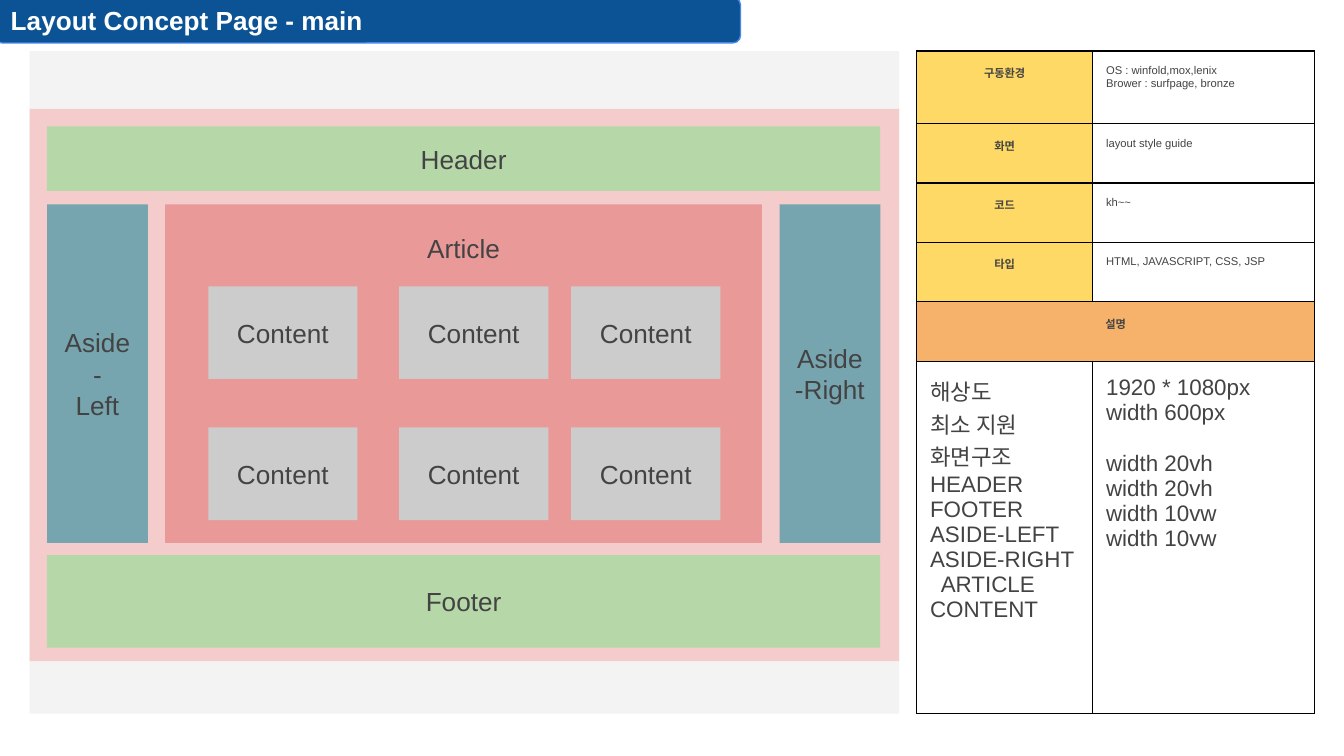
from pptx import Presentation
from pptx.dml.color import RGBColor
from pptx.enum.shapes import MSO_SHAPE
from pptx.enum.text import MSO_ANCHOR, MSO_AUTO_SIZE, PP_ALIGN
from pptx.oxml import parse_xml
from pptx.oxml.ns import nsdecls
from pptx.util import Inches, Pt

RECT, ROUND_RECT = MSO_SHAPE.RECTANGLE, MSO_SHAPE.ROUNDED_RECTANGLE
TOP, MIDDLE = MSO_ANCHOR.TOP, MSO_ANCHOR.MIDDLE
LEFT, CENTER = PP_ALIGN.LEFT, PP_ALIGN.CENTER

WHITE = RGBColor(0xFF, 0xFF, 0xFF)
DARK = RGBColor(0x43, 0x43, 0x43)
NAVY = RGBColor(0x0B, 0x53, 0x94)
BLUE = RGBColor(0x4A, 0x86, 0xE8)
PALE = RGBColor(0xF3, 0xF3, 0xF3)
GREY = RGBColor(0xCC, 0xCC, 0xCC)
PINK = RGBColor(0xF4, 0xCC, 0xCC)
RED = RGBColor(0xEA, 0x99, 0x99)
GREEN = RGBColor(0xB6, 0xD7, 0xA8)
TEAL = RGBColor(0x76, 0xA5, 0xAF)
YELLOW = RGBColor(0xFF, 0xD9, 0x66)
ORANGE = RGBColor(0xF6, 0xB2, 0x6B)

TITLE = "Layout Concept Page - main"
FACTS = [
    ("구동환경", ["OS : winfold,mox,lenix", "Brower : surfpage, bronze"]),
    ("화면", ["layout style guide"]),
    ("코드", ["kh~~"]),
    ("타입", ["HTML, JAVASCRIPT, CSS, JSP"]),
]
NOTES_HEADING = "설명"
NOTE_NAMES = ["해상도", "최소 지원", "화면구조", "HEADER", "FOOTER",
              "ASIDE-LEFT", "ASIDE-RIGHT", "ARTICLE", "CONTENT"]
NOTE_VALUES = ["1920 * 1080px", "width 600px", "width 20vh", "width 20vh",
               "width 10vw", "width 10vw"]

# Page frame and the blocks inside it, in inches
SLIDE_W = 10
SLIDE_H = SLIDE_W * 9 / 16
TITLE_BOX = (-0.04, -0.02, 5.55, 0.34)
TITLE_INSET = 0.12
PAGE_X, PAGE_Y, PAGE_W, PAGE_H = 0.22, 0.38, 6.47, 4.93
INNER_X, INNER_W = 0.35, 6.2
ASIDE_W, GAP = 0.75, 0.13
MID_Y, MID_H = 1.52, 2.52
ARTICLE_X = INNER_X + ASIDE_W + GAP
ARTICLE_W = INNER_W - 2 * (ASIDE_W + GAP)
BLOCKS = [
    ([], PINK, (PAGE_X, 0.81, PAGE_W, 4.11)),
    (["Footer"], GREEN, (INNER_X, 4.13, INNER_W, 0.69)),
    (["Header"], GREEN, (INNER_X, 0.94, INNER_W, 0.48)),
    (["Aside", "-", "Left"], TEAL, (INNER_X, MID_Y, ASIDE_W, MID_H)),
    (["Aside", "-Right"], TEAL,
     (INNER_X + INNER_W - ASIDE_W, MID_Y, ASIDE_W, MID_H)),
    (["Article"], RED, (ARTICLE_X, MID_Y, ARTICLE_W, MID_H)),
]
CONTENT_XS, CONTENT_YS = (1.55, 2.97, 4.25), (2.13, 3.18)
CONTENT_W, CONTENT_H = 1.11, 0.69
BLOCKS += [(["Content"], GREY, (x, y, CONTENT_W, CONTENT_H))
           for y in CONTENT_YS for x in CONTENT_XS]

TABLE_X = 6.82
COL_WIDTHS = [0.65, 0.66, 1.65]
FIRST_ROW, LAST_ROW = 0.54, 2.62
ROW_HEIGHTS = [FIRST_ROW, *[(PAGE_H - FIRST_ROW - LAST_ROW) / 4] * 4, LAST_ROW]


def write(tf, lines, size, align=LEFT, bold=False, color=DARK):
    for i, line in enumerate(lines):
        p = tf.paragraphs[0] if i == 0 else tf.add_paragraph()
        p.alignment = align
        r = p.add_run()
        r.text = line
        r.font.name, r.font.size, r.font.bold = "Arial", Pt(size), bold
        r.font.color.rgb = color


def set_margins(tf, inset=0.1):
    tf.margin_left = tf.margin_right = Inches(inset)
    tf.margin_top = tf.margin_bottom = Inches(0.1)
    tf.word_wrap = True


def add_block(shapes, lines, color, box, kind=RECT):
    sp = shapes.add_shape(kind, *map(Inches, box))
    sp.shadow.inherit = False
    sp.fill.solid()
    sp.fill.fore_color.rgb = color
    sp.line.fill.background()
    tf = sp.text_frame
    set_margins(tf)
    tf.vertical_anchor = MIDDLE
    write(tf, lines, 14, CENTER)
    return sp


def add_title(s):
    """Lay the title placeholder over a rounded bar."""
    title = s.shapes.title
    bar = add_block(s.shapes, [], NAVY, TITLE_BOX, ROUND_RECT)
    bar.line.color.rgb = BLUE
    bar.line.width = Pt(0.75)
    title._element.addprevious(bar._element)
    title.left, title.top, title.width, title.height = map(Inches, TITLE_BOX)
    tf = title.text_frame
    set_margins(tf, TITLE_INSET)
    tf.auto_size = MSO_AUTO_SIZE.NONE
    tf.vertical_anchor = MIDDLE
    write(tf, [TITLE], 14, bold=True, color=WHITE)


def add_borders(cell):
    tcPr = cell._tc.get_or_add_tcPr()
    for side in ("lnL", "lnR", "lnT", "lnB"):
        tcPr.append(parse_xml(
            f'<a:{side} {nsdecls("a")} w="{Pt(0.75)}"><a:solidFill>'
            f'<a:srgbClr val="000000"/></a:solidFill></a:{side}>'))


def fill_cell(cell, lines, size=6, color=None, inset=0.1):
    """A coloured cell is a heading: bold and centred."""
    cell.margin_left = cell.margin_right = Inches(inset)
    cell.margin_top = cell.margin_bottom = Inches(0.1)
    heading = color is not None
    if heading:
        cell.fill.solid()
        cell.fill.fore_color.rgb = color
    write(cell.text_frame, lines, size, CENTER if heading else LEFT, heading)


def add_spec_table(s):
    table = s.shapes.add_table(
        len(ROW_HEIGHTS), len(COL_WIDTHS), Inches(TABLE_X), Inches(PAGE_Y),
        Inches(sum(COL_WIDTHS)), Inches(sum(ROW_HEIGHTS))).table
    table.first_row = table.horz_banding = False
    for col, width in zip(table.columns, COL_WIDTHS):
        col.width = Inches(width)
    for row, height in zip(table.rows, ROW_HEIGHTS):
        row.height = Inches(height)
    for cell in table.iter_cells():
        add_borders(cell)
        cell.fill.background()

    heading_row, notes_row = len(FACTS), len(FACTS) + 1
    for i in range(len(ROW_HEIGHTS)):
        last = 2 if i == heading_row else 1
        table.cell(i, 0).merge(table.cell(i, last))
    for i, (name, values) in enumerate(FACTS):
        fill_cell(table.cell(i, 0), [name], color=YELLOW, inset=0.04)
        fill_cell(table.cell(i, 2), values)
    fill_cell(table.cell(heading_row, 0), [NOTES_HEADING], color=ORANGE)

    names, values = table.cell(notes_row, 0), table.cell(notes_row, 2)
    fill_cell(names, NOTE_NAMES, 12)
    fill_cell(values, NOTE_VALUES, 12)
    article = names.text_frame.paragraphs[NOTE_NAMES.index("ARTICLE")]
    article._p.get_or_add_pPr().set("marL", str(Inches(0.08)))
    values.text_frame.paragraphs[2].space_before = Pt(13.8)


def main():
    prs = Presentation()
    prs.slide_width, prs.slide_height = Inches(SLIDE_W), Inches(SLIDE_H)
    s = prs.slides.add_slide(prs.slide_layouts[5])
    add_block(s.shapes, [], PALE, (PAGE_X, PAGE_Y, PAGE_W, PAGE_H))
    add_title(s)
    add_spec_table(s)
    group = s.shapes.add_group_shape()
    for lines, color, box in BLOCKS:
        sp = add_block(group.shapes, lines, color, box)
        if lines == ["Article"]:
            sp.text_frame.vertical_anchor = TOP
            sp.text_frame.margin_top = Inches(0.21)
    prs.save("out.pptx")


if __name__ == "__main__":
    main()
